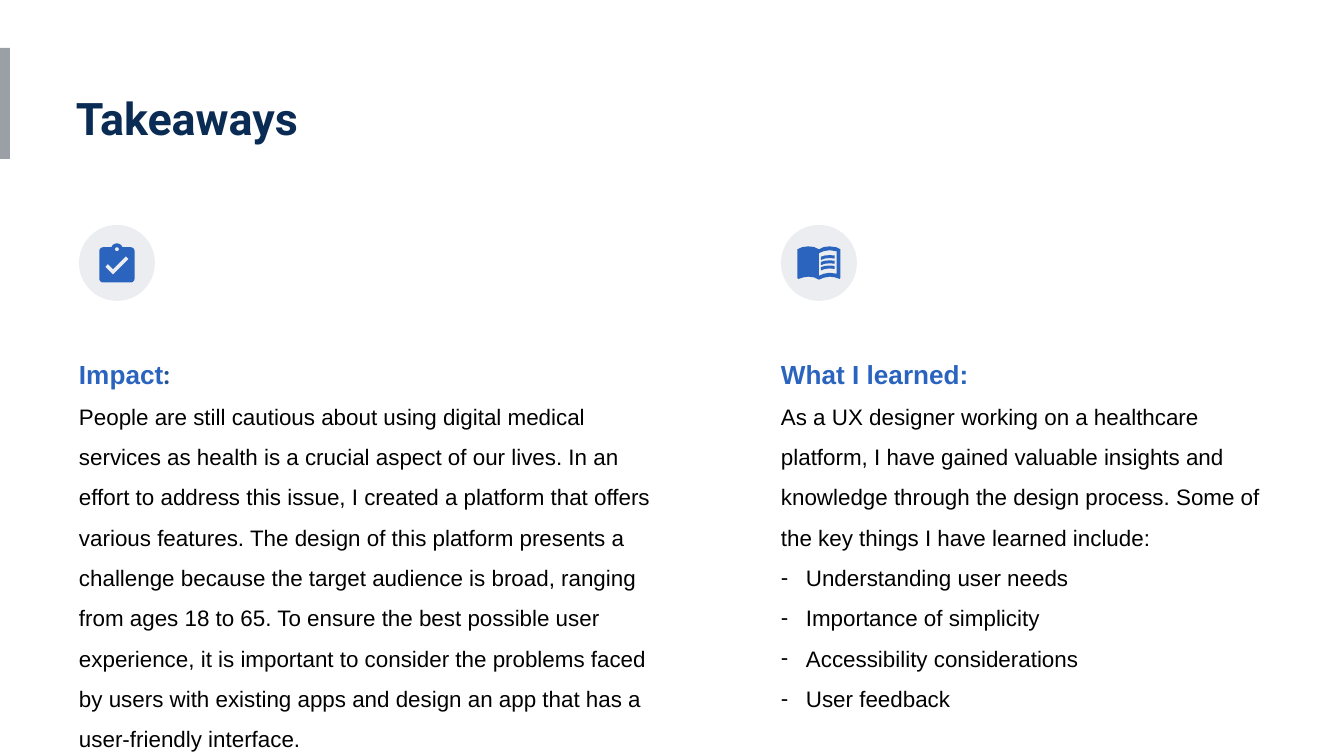
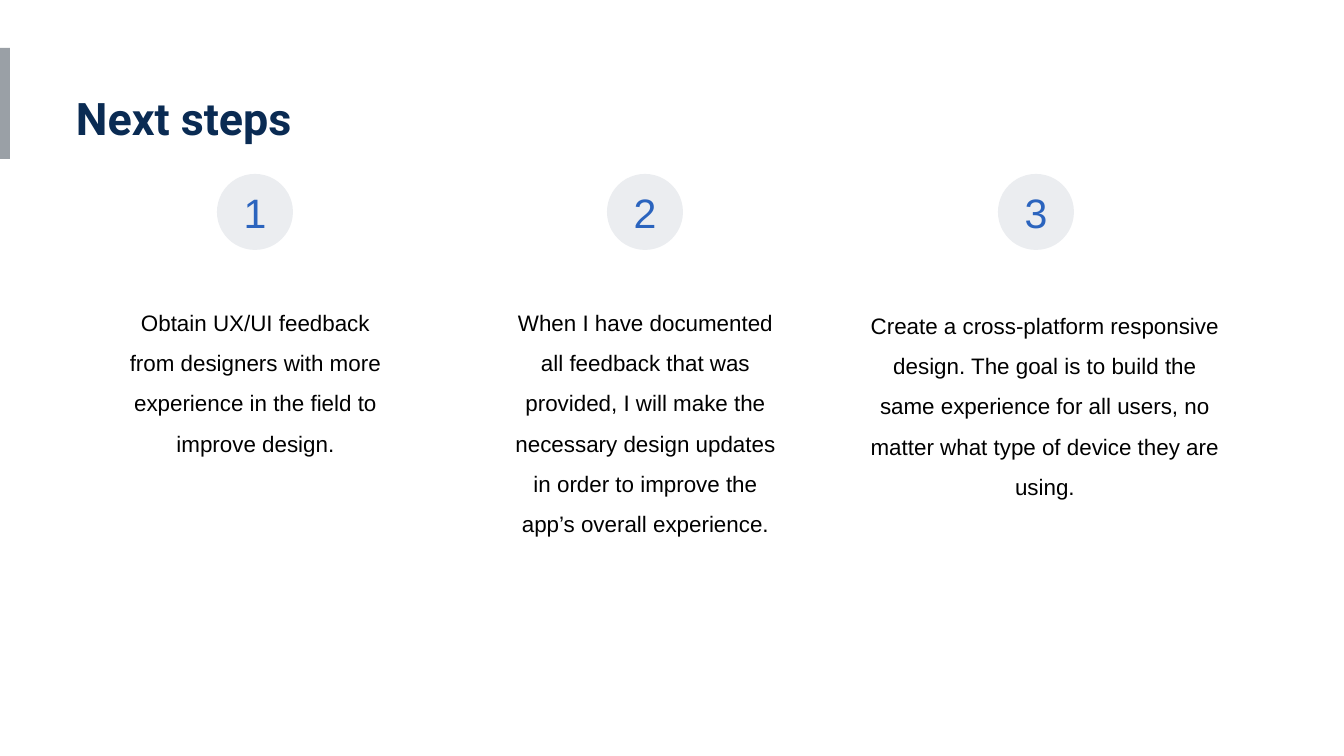
"""Build the takeaways and next steps slides of a UX case study."""
from math import cos, radians, sin

from lxml import etree
from pptx import Presentation
from pptx import util as u
from pptx.dml.color import RGBColor
from pptx.enum import shapes, text
from pptx.oxml.ns import qn

PX = u.Inches(10) / 1344
COL = {"navy": "0A2B53", "blue": "2B64BE", "colon": "22518C",
       "black": "000000", "gray": "9AA0A6", "pale": "EBEDF0"}
DISC = 76
GRID = 47 / 24

TOPICS = [
    {"x": 79, "w": 604, "icon": "board",
     "head": [("Impact", {}), (":", {"font": "Lato", "color": "colon"})],
     "body": "People are still cautious about using digital medical services as "
             "health is a crucial aspect of our lives. In an effort to address this "
             "issue, I created a platform that offers various features. The design "
             "of this platform presents a challenge because the target audience is "
             "broad, ranging from ages 18 to 65. To ensure the best possible user "
             "experience, it is important to consider the problems faced by users "
             "with existing apps and design an app that has a user-friendly "
             "interface.",
     "list": []},
    {"x": 781, "w": 507, "icon": "book",
     "head": [("What I learned:", {})],
     "body": "As a UX designer working on a healthcare platform, I have gained "
             "valuable insights and knowledge through the design process. Some of "
             "the key things I have learned include:",
     "list": ["Understanding user needs", "Importance of simplicity",
              "Accessibility considerations", "User feedback"]},
]
STEPS = [
    ((105, 282, 301, 176),
     "Obtain UX/UI feedback from designers with more experience in the field to "
     "improve design."),
    ((495, 282, 301, 258),
     "When I have documented all feedback that was provided, I will make the "
     "necessary design updates in order to improve the app’s overall experience."),
    ((857, 285, 376, 218),
     "Create a cross-platform responsive design. The goal is to build the same "
     "experience for all users, no matter what type of device they are using."),
]


def arc(x, y, r, start, end, count=8):
    turns = [radians(start + (end - start) * i / count) for i in range(count + 1)]
    return [(x + r * cos(t), y + r * sin(t)) for t in turns]


BOARD = [
    arc(12, 4, 3, 200, 340) + arc(19, 5, 2, -90, 0) + arc(19, 19, 2, 0, 90)
    + arc(5, 19, 2, 90, 180) + arc(5, 5, 2, 180, 270),
    arc(12, 4, 1, 0, 360, 16),
    [(10, 17), (6, 13), (7.4, 11.6), (10, 14.2), (16.6, 7.6), (18, 9)],
]
COVER = [
    [(1, 6), (3.5, 4.9), (6.5, 4.5), (9.5, 4.85), (12, 6), (14.5, 4.85),
     (17.5, 4.5), (21, 5), (23, 6), (23, 20.6), (22.5, 21.1), (20, 20.3),
     (17.5, 20), (14.5, 20.5), (12, 21.5), (9.5, 20.35), (6.5, 20), (4, 20.35),
     (1.5, 21.15), (1, 20.65)],
    [(12, 8), (14.5, 6.95), (17.5, 6.5), (21, 7), (21, 18.5), (17.5, 18),
     (14.5, 18.5), (12, 19.5)],
]
LINE = [(13, 9.83), (15, 9.22), (17.5, 9), (20, 9.24), (20, 10.76),
        (17.5, 10.5), (15, 10.77), (13, 11.49)]
ROWS = [[[(x, y + 2.66 * i) for x, y in LINE]] for i in range(3)]
ICONS = {"board": (11, [BOARD]), "book": (13, [COVER, *ROWS])}


def px(*vals):
    return [round(v * PX) for v in vals]


def rgb(name):
    return RGBColor.from_string(COL[name])


def paint(shape, color):
    shape.shadow.inherit = False
    shape.fill.solid()
    shape.fill.fore_color.rgb = rgb(color)
    shape.line.fill.background()
    return shape


def write(para, runs, size=12, font="Arial", color="black", bold=False,
          align="LEFT", lead=None, dash=False):
    if dash:
        props = para._p.get_or_add_pPr()
        gap = round(25 * PX)
        props.set("marL", str(gap))
        props.set("indent", str(-gap))
        tint = etree.SubElement(props, qn("a:buClr"))
        etree.SubElement(tint, qn("a:srgbClr")).set("val", COL["black"])
        etree.SubElement(props, qn("a:buSzPts")).set("val", str(size * 100))
        etree.SubElement(props, qn("a:buFont")).set("typeface", font)
        etree.SubElement(props, qn("a:buChar")).set("char", "-")
    para.alignment = getattr(text.PP_ALIGN, align)
    if lead:
        para.line_spacing = lead
    for words, own in ([(runs, {})] if isinstance(runs, str) else runs):
        run = para.add_run()
        run.text = words
        run.font.size = u.Pt(size)
        run.font.bold = bold
        run.font.name = own.get("font", font)
        run.font.color.rgb = rgb(own.get("color", color))


def fill_box(slide, box, paras, left=0):
    frame = slide.shapes.add_textbox(*px(*box)).text_frame
    frame.word_wrap = True
    frame.auto_size = text.MSO_AUTO_SIZE.SHAPE_TO_FIT_TEXT
    frame.margin_left = u.Inches(left)
    frame.margin_top = frame.margin_right = frame.margin_bottom = u.Inches(0.1)
    for i, (runs, fmt) in enumerate(paras):
        para = frame.add_paragraph() if i else frame.paragraphs[0]
        write(para, runs, **fmt)


def add_disc(slide, x, y):
    oval = shapes.MSO_SHAPE.OVAL
    return paint(slide.shapes.add_shape(oval, *px(x, y, DISC, DISC)), "pale")


def draw_icon(slide, name, x, y):
    mid, parts = ICONS[name]
    home = slide.shapes.add_group_shape().shapes if len(parts) > 1 else slide.shapes
    for loops in parts:
        pen = None
        for loop in loops:
            pts = [px(x + (a - 12) * GRID, y + (b - mid) * GRID) for a, b in loop]
            if pen:
                pen.move_to(*pts[0])
            else:
                pen = home.build_freeform(*pts[0])
            pen.add_line_segments(pts[1:], close=True)
        paint(pen.convert_to_shape(), "blue")


def new_slide(deck, title):
    slide = deck.slides.add_slide(deck.slide_layouts[6])
    bar = slide.shapes.add_shape(shapes.MSO_SHAPE.RECTANGLE, *px(0, 48, 10, 111))
    paint(bar, "gray")
    look = {"size": 24, "font": "Roboto", "color": "navy", "bold": True}
    fill_box(slide, (76, 77, 724, 82), [(title, look)])
    return slide


def takeaways(deck):
    slide = new_slide(deck, "Takeaways")
    head = {"size": 14, "color": "blue", "bold": True, "lead": 1.5}
    body = {"lead": 1.5}
    for topic in TOPICS:
        paras = [(topic["head"], head), (topic["body"], body)]
        paras += [(item, {"lead": 1.5, "dash": True}) for item in topic["list"]]
        fill_box(slide, (topic["x"], 329, topic["w"], 387), paras)
        add_disc(slide, topic["x"], 225)
        draw_icon(slide, topic["icon"], topic["x"] + DISC / 2, 225 + DISC / 2)


def next_steps(deck):
    slide = new_slide(deck, "Next steps")
    for i, (box, words) in enumerate(STEPS):
        fill_box(slide, box, [(words, {"align": "CENTER", "lead": 1.5})], left=0.1)
        frame = add_disc(slide, 217 + 781 * i // 2, 174).text_frame
        frame.margin_left = frame.margin_right = 0
        frame.margin_top = frame.margin_bottom = 0
        frame.vertical_anchor = text.MSO_ANCHOR.MIDDLE
        write(frame.paragraphs[0], str(i + 1), size=22, color="blue", align="CENTER")


def main():
    deck = Presentation()
    deck.slide_width, deck.slide_height = px(1344, 756)
    takeaways(deck)
    next_steps(deck)
    deck.save("out.pptx")


if __name__ == "__main__":
    main()
